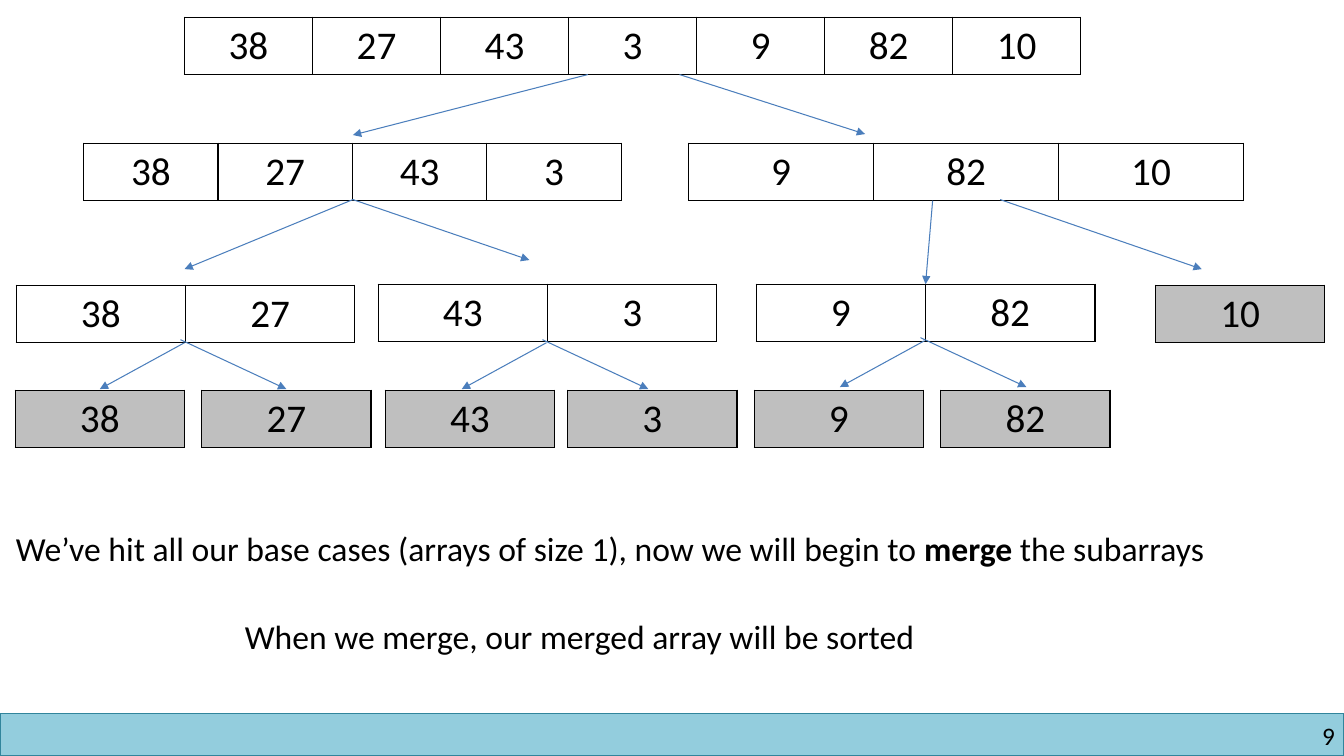
from lxml import etree
from pptx import Presentation
from pptx.dml.color import RGBColor
from pptx.enum.shapes import MSO_CONNECTOR, MSO_SHAPE
from pptx.enum.text import PP_ALIGN
from pptx.oxml import parse_xml
from pptx.oxml.ns import nsdecls, qn
from pptx.util import Inches, Pt

STRAIGHT = MSO_CONNECTOR.STRAIGHT
RECTANGLE = MSO_SHAPE.RECTANGLE
LEFT = PP_ALIGN.LEFT
CENTER = PP_ALIGN.CENTER
RIGHT = PP_ALIGN.RIGHT

FONT = "Calibri"
BLACK = "000000"
WHITE = "FFFFFF"
GRAY = "BFBFBF"
ARROW_BLUE = "4B7EBC"
BAR_FILL = "93CDDD"
BAR_LINE = "31859C"

ROW_HEIGHT = 0.57
PAIR_CELL = 1.68

SPLIT_ARRAYS = [
    (1.83, 0.17, 1.27, [38, 27, 43, 3, 9, 82, 10]),
    (0.83, 1.42, 1.333, [38, 27, 43, 3]),
    (6.83, 1.42, 1.835, [9, 82, 10]),
    (0.16, 2.83, PAIR_CELL, [38, 27]),
    (3.75, 2.82, PAIR_CELL, [43, 3]),
    (7.5, 2.82, PAIR_CELL, [9, 82]),
]
BASE_CASES = [
    (11.46, 2.83, 10),
    (0.15, 3.87, 38),
    (2, 3.87, 27),
    (3.82, 3.87, 43),
    (5.63, 3.87, 3),
    (7.48, 3.87, 9),
    (9.33, 3.87, 82),
]
UPPER_ARROWS = [
    (5.83, 0.74, 3.5, 1.34),
    (6.74, 0.74, 8.58, 1.33),
    (3.5, 1.98, 1.83, 2.67),
    (3.5, 1.98, 5.25, 2.58),
    (9.25, 1.99, 9.18, 2.82),
    (9.92, 1.98, 11.92, 2.67),
]
PAIR_SPLITS = [(1.83, 3.4), (5.42, 3.4), (9.17, 3.38)]


def color(value):
    return RGBColor.from_string(value)


def format_paragraph(paragraph, size, alignment):
    paragraph.alignment = alignment
    for run in paragraph.runs:
        run.font.name = FONT
        run.font.size = Pt(size)
        run.font.color.rgb = color(BLACK)


def add_cell_borders(cell):
    properties = cell._tc.get_or_add_tcPr()
    for position, side in enumerate(("lnL", "lnR", "lnT", "lnB")):
        border = parse_xml(
            f'<a:{side} {nsdecls("a")} w="12700"><a:solidFill>'
            f'<a:srgbClr val="{BLACK}"/></a:solidFill></a:{side}>'
        )
        properties.insert(position, border)


def add_array(slide, left, top, cell_width, values, fill):
    shape = slide.shapes.add_table(
        1, len(values), Inches(left), Inches(top),
        Inches(cell_width * len(values)), Inches(ROW_HEIGHT),
    )
    table = shape.table
    table.first_row = False
    table.horz_banding = False
    for column, value in enumerate(values):
        table.columns[column].width = Inches(cell_width)
        cell = table.cell(0, column)
        cell.text_frame.text = str(value)
        format_paragraph(cell.text_frame.paragraphs[0], 28, CENTER)
        cell.fill.solid()
        cell.fill.fore_color.rgb = color(fill)
        add_cell_borders(cell)


def add_arrow(slide, start_x, start_y, end_x, end_y):
    arrow = slide.shapes.add_connector(
        STRAIGHT, Inches(start_x), Inches(start_y), Inches(end_x), Inches(end_y)
    )
    arrow.line.color.rgb = color(ARROW_BLUE)
    arrow.line.width = Pt(0.75)
    etree.SubElement(arrow.line._get_or_add_ln(), qn("a:tailEnd"), type="triangle")
    etree.SubElement(arrow._element.spPr, qn("a:effectLst"))


def add_text(slide, left, top, width, height, parts, size, alignment=LEFT):
    shape = slide.shapes.add_textbox(
        Inches(left), Inches(top), Inches(width), Inches(height)
    )
    text_frame = shape.text_frame
    text_frame.word_wrap = True
    paragraph = text_frame.paragraphs[0]
    for text, bold in parts:
        run = paragraph.add_run()
        run.text = text
        run.font.bold = bold
    format_paragraph(paragraph, size, alignment)
    return text_frame


def add_footer(slide):
    bar = slide.shapes.add_shape(
        RECTANGLE, Inches(0), Inches(7.08), Inches(13.33), Inches(0.42)
    )
    bar.shadow.inherit = False
    bar.fill.solid()
    bar.fill.fore_color.rgb = color(BAR_FILL)
    bar.line.color.rgb = color(BAR_LINE)
    bar.line.width = Pt(1)
    number = add_text(slide, 10.17, 7.15, 3.07, 0.3, [("9", False)], 18, RIGHT)
    number.margin_left = number.margin_right = Inches(0)
    number.margin_top = number.margin_bottom = Inches(0)


def main():
    presentation = Presentation()
    presentation.slide_width = Inches(13.33)
    presentation.slide_height = Inches(7.5)
    slide = presentation.slides.add_slide(presentation.slide_layouts[6])

    add_footer(slide)
    for left, top, cell_width, values in SPLIT_ARRAYS:
        add_array(slide, left, top, cell_width, values, WHITE)
    for left, top, value in BASE_CASES:
        add_array(slide, left, top, PAIR_CELL, [value], GRAY)

    for points in UPPER_ARROWS:
        add_arrow(slide, *points)
    for x, y in PAIR_SPLITS:
        add_arrow(slide, x, y, x - 0.84, y + 0.46)
        add_arrow(slide, x - 0.04, y - 0.03, x + 1.01, y + 0.46)

    add_text(slide, 0.06, 5.19, 13.2, 0.5, [
        ("We’ve hit all our base cases (arrays of size 1), now we will begin to ", False),
        ("merge", True),
        (" the subarrays", False),
    ], 24)
    add_text(slide, 2.33, 6.06, 7.48, 0.5, [
        ("When we merge, our merged array will be sorted", False),
    ], 24)
    presentation.save("out.pptx")


if __name__ == "__main__":
    main()
